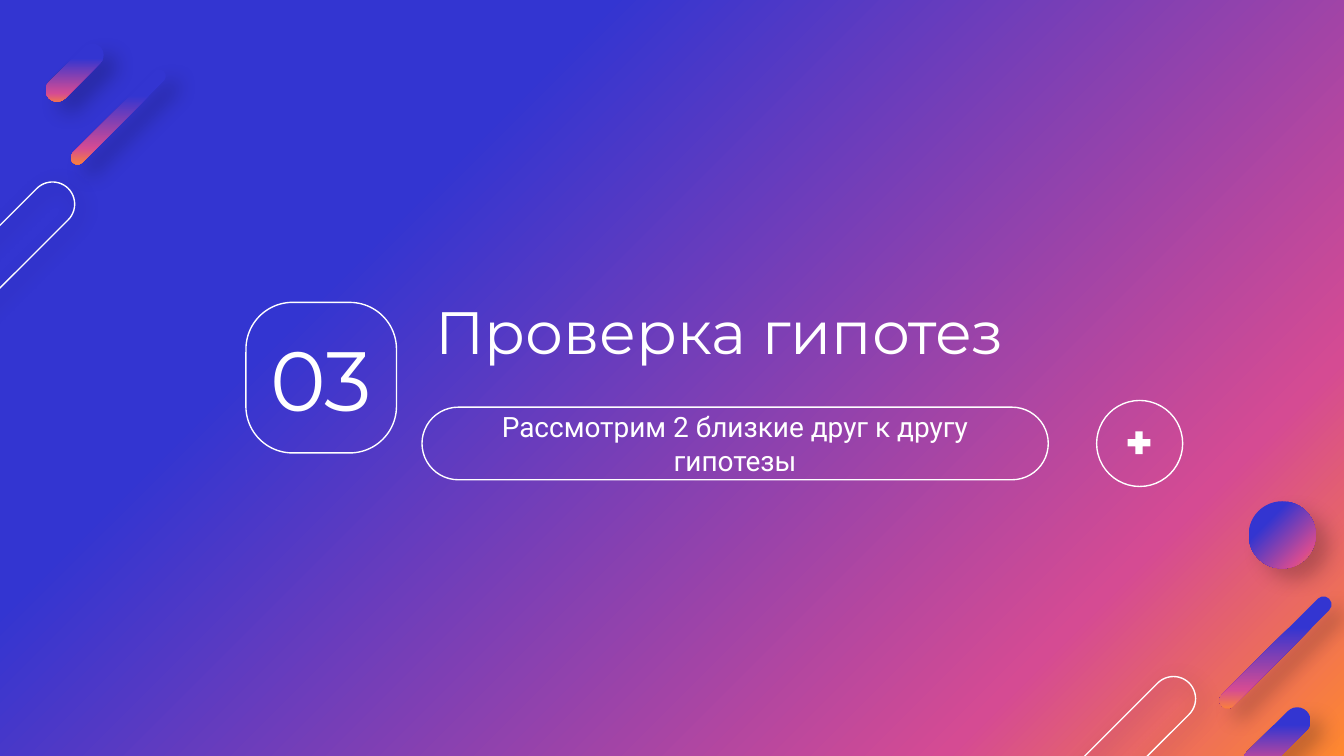
from lxml import etree
from pptx import Presentation
from pptx import util as u
from pptx.dml.color import RGBColor
from pptx.enum import shapes, text
from pptx.oxml import ns

WHITE = RGBColor(0xFF, 0xFF, 0xFF)
BLACK = RGBColor(0x00, 0x00, 0x00)
BLUE = RGBColor(0x33, 0x35, 0xD1)
PINK = RGBColor(0xD5, 0x4B, 0x93)
ORANGE = RGBColor(0xFF, 0x88, 0x2F)
STOPS = [(0, BLUE), (29, BLUE), (81, PINK), (100, ORANGE)]

KIND = shapes.MSO_SHAPE
ROUND = KIND.ROUNDED_RECTANGLE

deck = Presentation()
deck.slide_width = u.Inches(10)
deck.slide_height = u.Inches(10 * 9 / 16)
slide = deck.slides.add_slide(deck.slide_layouts[6])
slide.background.fill.gradient()


def draw(kind, at, fill=None, turn=0, adj=None, shade=None):
    """Fill is "grad", a colour or None for a white outline; shade is (alpha %, distance in pt)."""
    shape = slide.shapes.add_shape(kind, *[u.Inches(n) for n in at])
    shape.rotation = turn
    if adj is not None:
        shape.adjustments[0] = adj
    if fill is None:
        shape.fill.background()
        shape.line.color.rgb = WHITE
        shape.line.width = u.Pt(0.75)
    else:
        shape.line.fill.background()
        if fill == "grad":
            shape.fill.gradient()
        else:
            shape.fill.solid()
            shape.fill.fore_color.rgb = fill
    shape.shadow.inherit = False
    if shade:
        alpha, dist = shade
        glow = shape.element.spPr.find(ns.qn("a:effectLst"))
        drop = etree.SubElement(glow, ns.qn("a:outerShdw"), blurRad=str(u.Pt(11.2)),
                                dist=str(u.Pt(dist)), dir=str(40 * 60000),
                                algn="bl", rotWithShape="0")
        tint = etree.SubElement(drop, ns.qn("a:srgbClr"), val=str(BLACK))
        etree.SubElement(tint, ns.qn("a:alpha"), val=str(alpha * 1000))


def write(words, at, size, font="Montserrat", align=text.PP_ALIGN.CENTER):
    frame = slide.shapes.add_textbox(*[u.Inches(n) for n in at]).text_frame
    frame.word_wrap = True
    frame.vertical_anchor = text.MSO_ANCHOR.MIDDLE
    frame.margin_left = frame.margin_right = u.Inches(0.1)
    frame.margin_top = frame.margin_bottom = u.Inches(0.1)
    para = frame.paragraphs[0]
    para.alignment = align
    run = para.add_run()
    run.text = words
    run.font.size = u.Pt(size)
    run.font.name = font
    run.font.color.rgb = WHITE


# Corner decoration
bars = [(9.4, 5.2, 0.2, 0.63), (9.43, 4.29, 0.12, 1.13),
        (0.47, 0.27, 0.17, 0.54), (0.83, 0.39, 0.1, 0.96)]
for bar in bars:
    draw(ROUND, bar, fill="grad", turn=45, adj=0.5, shade=(22, 9))
draw(KIND.OVAL, (9.29, 3.73, 0.5, 0.5), fill="grad", shade=(22, 9))
for left, top in [(8.17, 4.87), (-0.17, 1.19)]:
    draw(ROUND, (left, top, 0.33, 1.45), turn=45, adj=0.5, shade=(40, 3.8))

# Section number, title and subtitle
draw(ROUND, (1.83, 2.25, 1.12, 1.12), adj=0.31)
draw(ROUND, (3.14, 3.03, 4.66, 0.54), adj=0.5)
write("Проверка гипотез", (3.14, 2.06, 5.07, 0.8), 32, align=text.PP_ALIGN.LEFT)
write("Рассмотрим 2 близкие друг к другу гипотезы", (3.17, 3.1, 4.6, 0.4), 15, font="Roboto")
write("03", (1.79, 2.21, 1.2, 1.2), 45)

# Plus button
draw(KIND.OVAL, (8.16, 2.98, 0.64, 0.64))
draw(KIND.MATH_PLUS, (8.36, 3.18, 0.23, 0.23), fill=WHITE)

# The background and every gradient shape share the same diagonal stops
for grad in slide.element.iter(ns.qn("a:gradFill")):
    grad.set("rotWithShape", "1")
    grad.find(ns.qn("a:lin")).set("ang", str(45 * 60000))
    stops = grad.find(ns.qn("a:gsLst"))
    for old in list(stops):
        stops.remove(old)
    for pos, color in STOPS:
        stop = etree.SubElement(stops, ns.qn("a:gs"), pos=str(pos * 1000))
        etree.SubElement(stop, ns.qn("a:srgbClr"), val=str(color))

deck.save("out.pptx")
